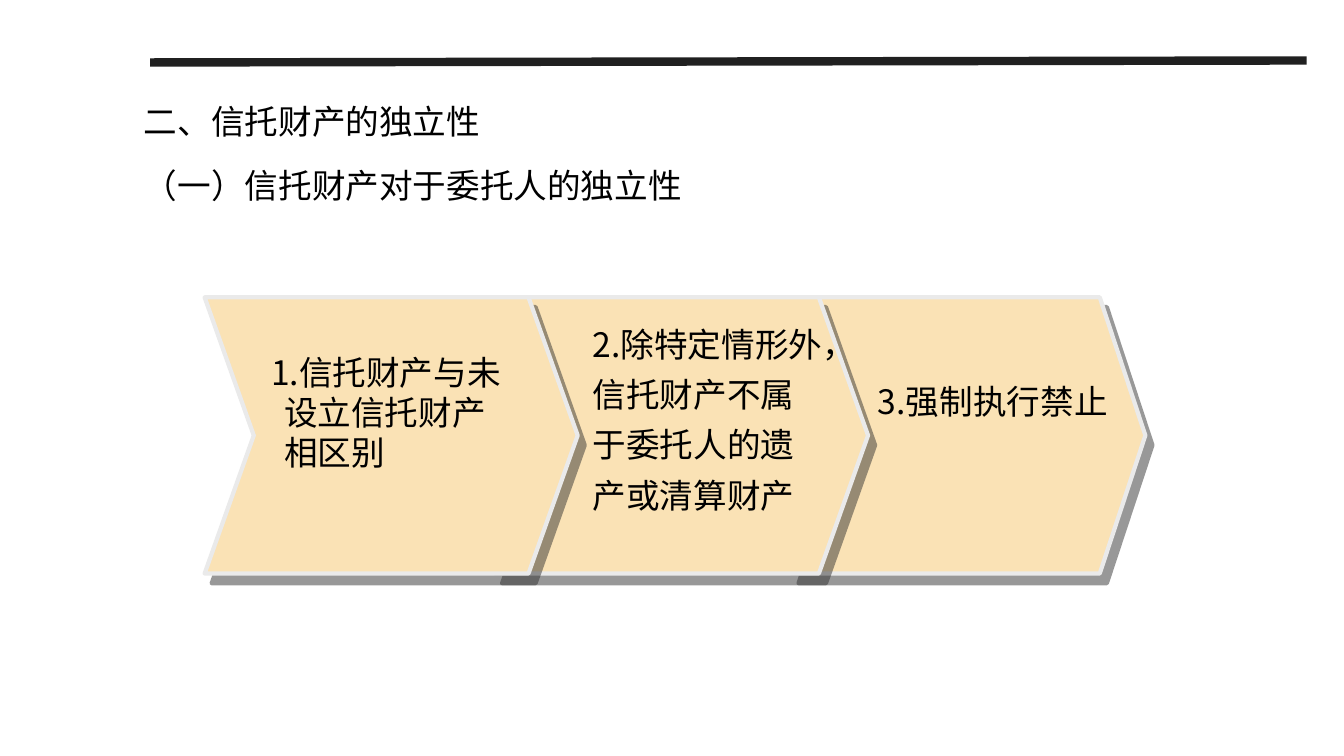
import pptx
import pptx.util
import pptx.dml.color
import pptx.enum.shapes
import pptx.enum.text
import pptx.oxml
import pptx.oxml.ns
from pptx.util import Inches, Pt

FONT = "Noto Sans CJK SC"
TEXT, FILL, EDGE, RULE = "000000", "FAE2B5", "EAEAEA", "202020"
HEADINGS = ["二、信托财产的独立性", "（一）信托财产对于委托人的独立性"]
CHEVRON_TOP, CHEVRON_HEIGHT = 2.95, 2.74
# left, width, point depth; the right-hand one lies at the back
CHEVRONS = [(7.85, 3.51, 0.165), (4.91, 3.7, 0.178), (2.03, 3.7, 0.178)]
# text, box, line spacing, hanging indent
STEPS = [
    ("1.信托财产与未设立信托财产相区别", (2.59, 3.44, 2.57, 1.76), 1.0, 0.13),
    ("2.除特定情形外，信托财产不属于委托人的遗产或清算财产", (5.78, 3.06, 2.5, 2.62), 1.25, 0),
    ("3.强制执行禁止", (8.61, 3.63, 2.57, 0.6), 1.25, 0),
]
SHADOW = (
    '<a:effectLst xmlns:a="http://schemas.openxmlformats.org/drawingml/2006/main">'
    '<a:outerShdw dist="109220" dir="3240000" algn="ctr" rotWithShape="0">'
    '<a:srgbClr val="333333"><a:alpha val="50000"/></a:srgbClr>'
    '</a:outerShdw></a:effectLst>'
)


def rgb(value):
    return pptx.dml.color.RGBColor.from_string(value)


def add_text(s, box, lines, spacing, before=0, hang=0):
    tf = s.shapes.add_textbox(*map(Inches, box)).text_frame
    tf.word_wrap = True
    for i, line in enumerate(lines):
        p = tf.paragraphs[0] if i == 0 else tf.add_paragraph()
        p.line_spacing = spacing
        p.space_before = Pt(before)
        if hang:
            pPr = p._p.get_or_add_pPr()
            pPr.set("marL", str(Inches(hang)))
            pPr.set("indent", str(-Inches(hang)))
        r = p.add_run()
        r.text = line
        r.font.size = Pt(24)
        r.font.name = FONT
        r.font.color.rgb = rgb(TEXT)
        ea = pptx.oxml.ns.qn("a:ea")
        r.font._element.makeelement(ea)
        r.font._element.append(r.font._element.makeelement(ea, {"typeface": FONT}))


def add_chevron(s, left, width, depth):
    sp = s.shapes.add_shape(
        pptx.enum.shapes.MSO_SHAPE.CHEVRON,
        *map(Inches, (left, CHEVRON_TOP, width, CHEVRON_HEIGHT)))
    sp.adjustments[0] = depth
    sp.fill.solid()
    sp.fill.fore_color.rgb = rgb(FILL)
    sp.line.color.rgb = rgb(EDGE)
    sp.line.width = Pt(3)
    sp._element.spPr.append(pptx.oxml.parse_xml(SHADOW))


def add_rule(s):
    line = s.shapes.add_connector(
        pptx.enum.shapes.MSO_CONNECTOR.STRAIGHT,
        *map(Inches, (1.49, 0.62, 12.96, 0.6)))
    line.line.color.rgb = rgb(RULE)
    line.line.width = Pt(6)
    spPr = line._element.spPr
    spPr.append(spPr.makeelement(pptx.oxml.ns.qn("a:effectLst")))


def main():
    prs = pptx.Presentation()
    prs.slide_width, prs.slide_height = Inches(13.33), Inches(7.5)
    s = prs.slides.add_slide(prs.slide_layouts[6])
    add_rule(s)
    add_text(s, (1.33, 0.85, 11.4, 1.87), HEADINGS, 1.25, before=10)
    for chevron in CHEVRONS:
        add_chevron(s, *chevron)
    for text, box, spacing, hang in STEPS:
        add_text(s, box, [text], spacing, hang=hang)
    prs.save("out.pptx")


if __name__ == "__main__":
    main()
